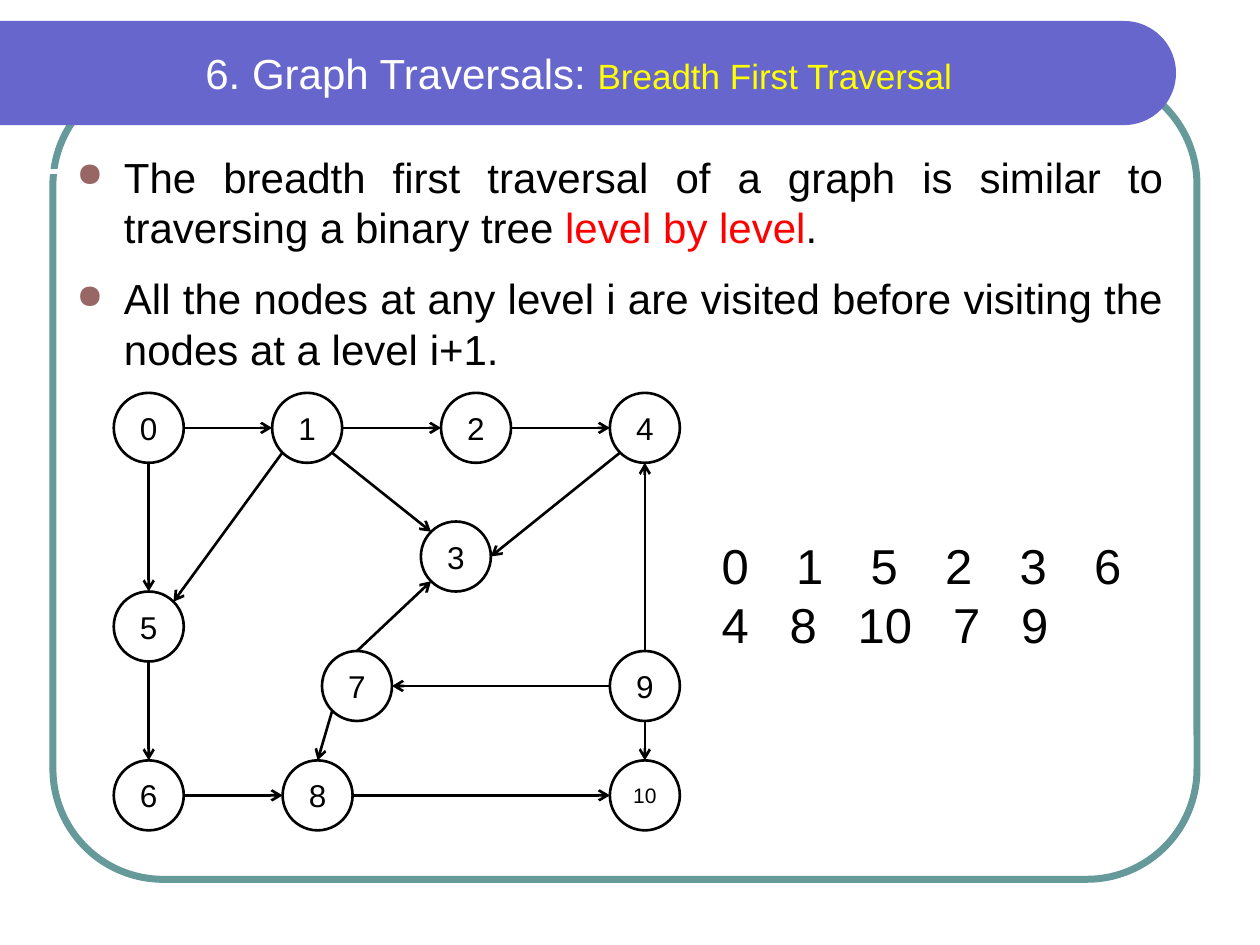
import math
from dataclasses import dataclass
from typing import NamedTuple

from lxml import etree
from pptx import Presentation
from pptx.dml.color import RGBColor
from pptx.enum.shapes import MSO_CONNECTOR, MSO_SHAPE
from pptx.enum.text import MSO_ANCHOR, PP_ALIGN
from pptx.oxml.ns import qn
from pptx.util import Pt

CENTER, JUSTIFY, LEFT = PP_ALIGN.CENTER, PP_ALIGN.JUSTIFY, PP_ALIGN.LEFT
MIDDLE, TOP = MSO_ANCHOR.MIDDLE, MSO_ANCHOR.TOP
STRAIGHT = MSO_CONNECTOR.STRAIGHT
ELLIPSE, ROUNDED = MSO_SHAPE.OVAL, MSO_SHAPE.ROUNDED_RECTANGLE


@dataclass(frozen=True)
class Theme:
    font: str = "Arial"
    ink: str = "000000"
    paper: str = "FFFFFF"
    banner: str = "6666CC"
    frame: str = "669999"
    bullet: str = "996666"
    topic: str = "FFFF00"
    emphasis: str = "FF0000"
    heading_size: float = 24
    topic_size: float = 20
    node_size: float = 18
    small_node_size: float = 12
    order_size: float = 28


THEME = Theme()


class Span(NamedTuple):
    text: str
    size: float
    color: str = THEME.ink


class Box(NamedTuple):
    left: float
    top: float
    width: float
    height: float


class Node(NamedTuple):
    label: str
    x: float
    y: float
    size: float = THEME.node_size


class Edge(NamedTuple):
    source: str
    leaves: str
    target: str
    enters: str


DIAMETER = 40
DIAGONAL = math.sqrt(0.5)
SIDES = {
    "N": (0, -1), "E": (1, 0), "S": (0, 1), "W": (-1, 0),
    "NE": (DIAGONAL, -DIAGONAL), "SE": (DIAGONAL, DIAGONAL),
    "SW": (-DIAGONAL, DIAGONAL), "NW": (-DIAGONAL, -DIAGONAL),
}

LEFT_X, RIGHT_X = 85, 368.5
TOP_Y, NINE_Y, BOTTOM_Y = 244.5, 392, 454.5
NODES = [
    Node("0", LEFT_X, TOP_Y), Node("1", 175.5, TOP_Y),
    Node("2", 272, TOP_Y), Node("4", RIGHT_X, TOP_Y),
    Node("3", 260.5, 318), Node("5", LEFT_X, 358),
    Node("7", 204, NINE_Y), Node("9", RIGHT_X, NINE_Y),
    Node("6", LEFT_X, BOTTOM_Y), Node("8", 181.5, BOTTOM_Y),
    Node("10", RIGHT_X, BOTTOM_Y, THEME.small_node_size),
]
EDGES = [
    Edge("0", "E", "1", "W"), Edge("1", "E", "2", "W"), Edge("2", "E", "4", "W"),
    Edge("0", "S", "5", "N"), Edge("1", "SW", "5", "NE"), Edge("1", "SE", "3", "NW"),
    Edge("4", "SW", "3", "E"), Edge("5", "S", "6", "N"), Edge("6", "E", "8", "W"),
    Edge("8", "E", "10", "W"), Edge("7", "N", "3", "SW"), Edge("7", "SW", "8", "N"),
    Edge("9", "W", "7", "E"), Edge("9", "N", "4", "S"), Edge("9", "S", "10", "N"),
]
BULLETS = [
    [Span("The breadth first traversal of a graph is similar to traversing a binary tree ",
          THEME.heading_size),
     Span("level by level", THEME.heading_size, THEME.emphasis),
     Span(".", THEME.heading_size)],
    [Span("All the nodes at any level i are visited before visiting the nodes at a level i+1.",
          THEME.heading_size)],
]
DIGIT_WIDTH = 15.57
# Each row of the visiting order with the gap between its labels.
VISIT_ROWS = [(["0", "1", "5", "2", "3", "6"], 27), (["4", "8", "10", "7", "9"], 23.35)]


def color(code: str) -> RGBColor:
    return RGBColor.from_string(code)


def write(paragraph, spans: list[Span], **layout) -> None:
    for name, value in layout.items():
        setattr(paragraph, name, value)
    for span in spans:
        run = paragraph.add_run()
        run.text = span.text
        for name, value in {"name": THEME.font, "size": Pt(span.size)}.items():
            setattr(run.font, name, value)
        run.font.color.rgb = color(span.color)


def add_text(slide, box: Box, paragraphs: list[list[Span]], anchor=TOP, **layout):
    frame = slide.shapes.add_textbox(*map(Pt, box)).text_frame
    frame.word_wrap = True
    frame.vertical_anchor = anchor
    for index, spans in enumerate(paragraphs):
        paragraph = frame.add_paragraph() if index else frame.paragraphs[0]
        write(paragraph, spans, **layout)
    return frame


def add_bullet(paragraph) -> None:
    properties = paragraph._p.get_or_add_pPr()
    properties.set("marL", str(Pt(27)))
    properties.set("indent", str(Pt(-27)))
    tint = etree.SubElement(properties, qn("a:buClr"))
    etree.SubElement(tint, qn("a:srgbClr"), val=THEME.bullet)
    etree.SubElement(properties, qn("a:buSzPct"), val="80000")
    etree.SubElement(properties, qn("a:buChar"), char="●")


def add_tab_stops(paragraph, labels: list[str], gap: float) -> None:
    """Place a stop where each label after the first begins."""
    stops = etree.SubElement(paragraph._p.get_or_add_pPr(), qn("a:tabLst"))
    position = 0
    for label in labels[:-1]:
        position += len(label) * DIGIT_WIDTH + gap
        etree.SubElement(stops, qn("a:tab"), pos=str(Pt(position)), algn="l")


def add_line(slide, start: tuple, end: tuple, tint: str, width: float, arrow: bool = False) -> None:
    line = slide.shapes.add_connector(STRAIGHT, *map(Pt, (*start, *end)))
    line.line.color.rgb = color(tint)
    line.line.width = Pt(width)
    if arrow:
        etree.SubElement(line.line._get_or_add_ln(), qn("a:tailEnd"), type="arrow")
    etree.SubElement(line._element.spPr, qn("a:effectLst"))


def add_outline(slide, preset, box: Box, tint: str, width: float):
    shape = slide.shapes.add_shape(preset, *map(Pt, box))
    shape.shadow.inherit = False
    shape.fill.background()
    shape.line.color.rgb = color(tint)
    shape.line.width = Pt(width)
    return shape


def add_banner(slide, top: float, radius: float, right: float) -> None:
    """Draw the title band, square on the left and half round on the right."""
    center_x, center_y = right - radius, top + radius
    arc = [(center_x + radius * math.cos(math.radians(angle)),
            center_y + radius * math.sin(math.radians(angle)))
           for angle in range(-90, 91, 5)]
    builder = slide.shapes.build_freeform(0, Pt(top))
    corners = [*arc, (0, top + 2 * radius)]
    builder.add_line_segments([(Pt(x), Pt(y)) for x, y in corners], close=True)
    banner = builder.convert_to_shape()
    banner.shadow.inherit = False
    banner.fill.solid()
    banner.fill.fore_color.rgb = color(THEME.banner)
    banner.line.fill.background()


def add_node(slide, node: Node) -> None:
    box = Box(node.x - DIAMETER / 2, node.y - DIAMETER / 2, DIAMETER, DIAMETER)
    frame = add_outline(slide, ELLIPSE, box, THEME.ink, 1.5).text_frame
    frame.vertical_anchor = MIDDLE
    write(frame.paragraphs[0], [Span(node.label, node.size)], alignment=CENTER)


def rim_point(node: Node, side: str) -> tuple[float, float]:
    across, down = SIDES[side]
    return node.x + across * DIAMETER / 2, node.y + down * DIAMETER / 2


def main() -> None:
    deck = Presentation()
    deck.slide_width, deck.slide_height = Pt(720), Pt(540)
    slide = deck.slides.add_slide(deck.slide_layouts[6])

    frame = add_outline(slide, ROUNDED, Box(30.25, 42.5, 653.75, 460), THEME.frame, 4)
    frame.adjustments[0] = 0.137
    add_banner(slide, 12, 29.75, 672)
    add_line(slide, (0, 98), (636, 98), THEME.paper, 3)
    add_text(slide, Box(15, 18, 631.5, 47.5),
             [[Span("6. Graph Traversals: ", THEME.heading_size, THEME.paper),
               Span("Breadth First Traversal", THEME.topic_size, THEME.topic)]],
             MIDDLE, alignment=CENTER)
    body = add_text(slide, Box(36.75, 82.75, 635, 147.5), BULLETS, alignment=JUSTIFY,
                    space_before=Pt(6), space_after=Pt(6))
    for paragraph in body.paragraphs:
        add_bullet(paragraph)

    for node in NODES:
        add_node(slide, node)
    by_label = {node.label: node for node in NODES}
    for edge in EDGES:
        add_line(slide, rim_point(by_label[edge.source], edge.leaves),
                 rim_point(by_label[edge.target], edge.enters), THEME.ink, 1.5, arrow=True)

    rows = [[Span("\t".join(labels), THEME.order_size)] for labels, _ in VISIT_ROWS]
    order = add_text(slide, Box(405.25, 302.5, 260.5, 75), rows, alignment=LEFT)
    for paragraph, (labels, gap) in zip(order.paragraphs, VISIT_ROWS):
        add_tab_stops(paragraph, labels, gap)

    deck.save("out.pptx")


if __name__ == "__main__":
    main()
